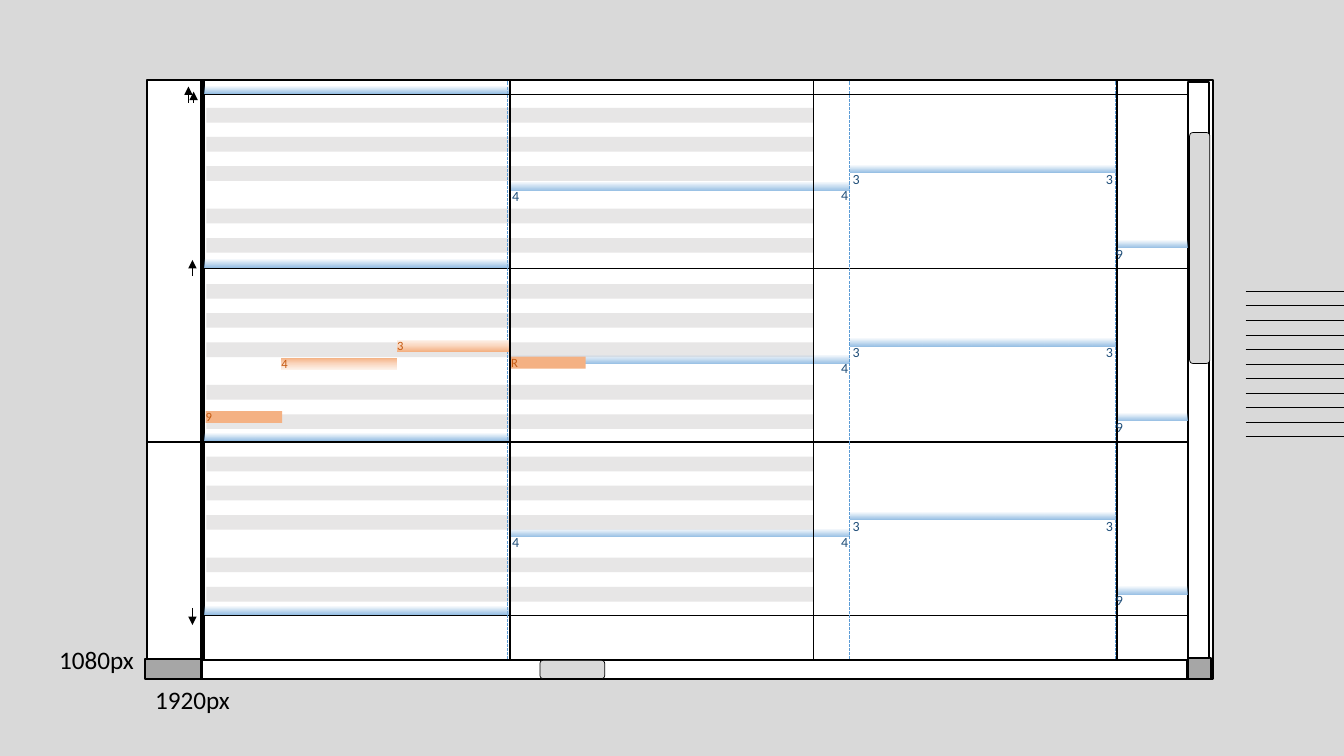
from dataclasses import dataclass
from lxml import etree
from pptx import Presentation
from pptx import util as u
from pptx.dml.color import RGBColor
from pptx.enum import dml, shapes, text
from pptx.oxml import parse_xml
from pptx.oxml.ns import nsdecls, qn

Cm = u.Cm


@dataclass(frozen=True)
class Theme:
    """Colours, font and type sizes of the slide."""
    black: str = "000000"
    white: str = "FFFFFF"
    backdrop: str = "D9D9D9"
    corner: str = "A6A6A6"
    stripe: str = "E7E6E6"
    guide: str = "5B9BD5"
    orange: str = "F4B183"
    orange_text: str = "C55A11"
    blue_text: str = "1F4E79"
    blue_fade: tuple = ((0, "8CB9E2", 100), (100, "8CB9E2", 0))
    orange_fade: tuple = ((0, "F4B183", 100), (51, "FAD8C1", 100), (100, "FDF2EA", 100))
    font: str = "Calibri"
    caption: float = 18
    blue_size: float = 10
    orange_size: float = 9


theme = Theme()
rgb = RGBColor.from_string
up, down = 270, 90

deck = Presentation()
deck.slide_width, deck.slide_height = Cm(33.87), Cm(19.05)
slide = deck.slides.add_slide(deck.slide_layouts[6])
slide.background.fill.solid()
slide.background.fill.fore_color.rgb = rgb(theme.backdrop)


def box(left, top, width, height, fill, outline=0, rounded=False, angle=up, parent=slide):
    """Draw a rectangle; a tuple of stops as fill makes a gradient."""
    kind = shapes.MSO_SHAPE.ROUNDED_RECTANGLE if rounded else shapes.MSO_SHAPE.RECTANGLE
    block = parent.shapes.add_shape(kind, Cm(left), Cm(top), Cm(width), Cm(height))
    block.shadow.inherit = False
    if outline:
        block.line.color.rgb = rgb(theme.black)
        block.line.width = u.Pt(outline)
    else:
        block.line.fill.background()
    if isinstance(fill, str):
        block.fill.solid()
        block.fill.fore_color.rgb = rgb(fill)
        return
    stops = "".join(
        f'<a:gs pos="{at * 1000}"><a:srgbClr val="{colour}">'
        f'<a:alpha val="{alpha * 1000}"/></a:srgbClr></a:gs>' for at, colour, alpha in fill)
    block.fill.background()
    properties = block._element.spPr
    properties.replace(properties.find(qn("a:noFill")), parse_xml(
        f'<a:gradFill {nsdecls("a")} rotWithShape="1"><a:gsLst>{stops}</a:gsLst>'
        f'<a:lin ang="{angle * 60000}" scaled="0"/></a:gradFill>'))


def rule(x1, y1, x2, y2, width, colour=theme.black, dashed=False, arrow=False, parent=slide):
    """Draw a straight line, dashed or with an arrowhead at its end."""
    line = parent.shapes.add_connector(
        shapes.MSO_CONNECTOR.STRAIGHT, Cm(x1), Cm(y1), Cm(x2), Cm(y2))
    line.line.color.rgb = rgb(colour)
    line.line.width = u.Pt(width)
    if dashed:
        line.line.dash_style = dml.MSO_LINE.SQUARE_DOT
    if arrow:
        etree.SubElement(line.line._get_or_add_ln(), qn("a:tailEnd"), type="triangle")
    etree.SubElement(line._element.spPr, qn("a:effectLst"))


# Grid of the score: three octave rows, measures of equal width
period, measure = 4.37, 7.65
measure_1, measure_2, measure_3, measure_4 = [5.2 + measure * i for i in range(4)]
grid_top, grid_bottom, grid_right = 2.03, 16.61, 29.95
window_left, piano_right, change = 3.71, 5.11, 21.42
octaves = [2.39 + period * i for i in range(4)]
labels = []  # left, top, width, height, wording, size, colour

box(window_left, 2.01, 26.85, 15.09, theme.white, 1.5)

for left in (measure_2, measure_1):
    for first in (2.72, 7.16, 11.51):
        stripes = slide.shapes.add_group_shape()
        for offset in (0, 0.73, 1.47, 2.54, 3.28):
            box(left, first + offset, measure, 0.37, theme.stripe, parent=stripes)

staff = slide.shapes.add_group_shape()
for i in range(11):
    y = 7.34 + 3.66 * i / 10
    rule(31.39, y, 33.87, y, 0.5, parent=staff)

rule(28.12, grid_bottom, 28.12, grid_top, 0.75, theme.guide, dashed=True)
rule(piano_right, grid_top, piano_right, grid_bottom, 3.75)
for i in (0, 1, 3):
    rule(piano_right, octaves[i], grid_right, octaves[i], 0.5)

# Scroll bars and corners
box(grid_right, 16.59, 0.56, 0.53, theme.corner, 1.5)
box(5.08, 16.64, 24.84, 0.48, theme.white, 1.5)
box(13.61, 16.64, 1.63, 0.46, theme.backdrop, 0.5, rounded=True)
box(grid_right, 2.06, 0.53, 14.53, theme.white, 1.5)
box(29.98, 3.34, 0.51, 5.82, theme.backdrop, 0.5, rounded=True)
box(3.66, 16.61, 1.4, 0.51, theme.corner, 1.5)
rule(12.8, grid_bottom, 12.8, grid_top, 0.75, theme.guide, dashed=True)

# Blue notes repeat in every octave
for top in octaves:
    box(5.16, top - 0.21, 7.67, 0.19, theme.blue_fade)
for row in range(3):
    shift = period * row
    for left, top, width in ((12.85, 4.6, 8.57), (21.44, 4.17, 6.7), (28.14, 6.05, 1.78)):
        box(left, top + shift, width, 0.19, theme.blue_fade)
    digits = [(20.95, 4.57, 0.61, "4"), (27.64, 4.17, 0.48, "3"),
              (21.26, 4.17, 0.48, "3"), (28.12, 6.05, 0.13, "9")]
    if row != 1:
        digits.append((12.66, 4.59, 0.61, "4"))
    for left, top, width, digit in digits:
        labels.append((left, top + shift, width, 0.69, digit, theme.blue_size, theme.blue_text))

# Orange notes being played
for left, top, width, fill, angle, name in (
        (5.18, 10.36, 1.93, theme.orange, up, "9"),
        (7.09, 9.02, 2.92, theme.orange_fade, down, "4"),
        (10.01, 8.56, 2.82, theme.orange_fade, up, "3"),
        (12.88, 8.99, 1.88, theme.orange, up, "R")):
    box(left, top, width, 0.3, fill, angle=angle)
    labels.append((left, top - 0.18, 0.18, 0.64, name, theme.orange_size, theme.orange_text))

for x, start, end in ((4.88, 2.59, 2.31), (4.75, 2.59, 2.18),
                      (4.85, 6.96, 6.55), (4.85, 15.32, 15.75)):
    rule(x, start, x, end, 0.5, arrow=True)

rule(window_left, octaves[2], grid_right, octaves[2], 1.25)
for x in (measure_4, measure_3, measure_2):
    rule(x, grid_top, x, grid_bottom, 1)
rule(change, grid_bottom, change, grid_top, 0.75, theme.guide, dashed=True)

labels += [(3.66, 17.12, 2.41, 1.02, "1920px", theme.caption, theme.black),
           (1.24, 16.1, 2.41, 1.02, "1080px", theme.caption, theme.black)]
for left, top, width, height, wording, size, colour in labels:
    frame = slide.shapes.add_textbox(Cm(left), Cm(top), Cm(width), Cm(height)).text_frame
    frame.text = wording
    frame.word_wrap = size != theme.caption
    frame.auto_size = text.MSO_AUTO_SIZE.SHAPE_TO_FIT_TEXT
    if width < 0.3:
        frame.margin_left = frame.margin_right = 0
    font = frame.paragraphs[0].runs[0].font
    font.name, font.size = theme.font, u.Pt(size)
    font.color.rgb = rgb(colour)

deck.save("out.pptx")
